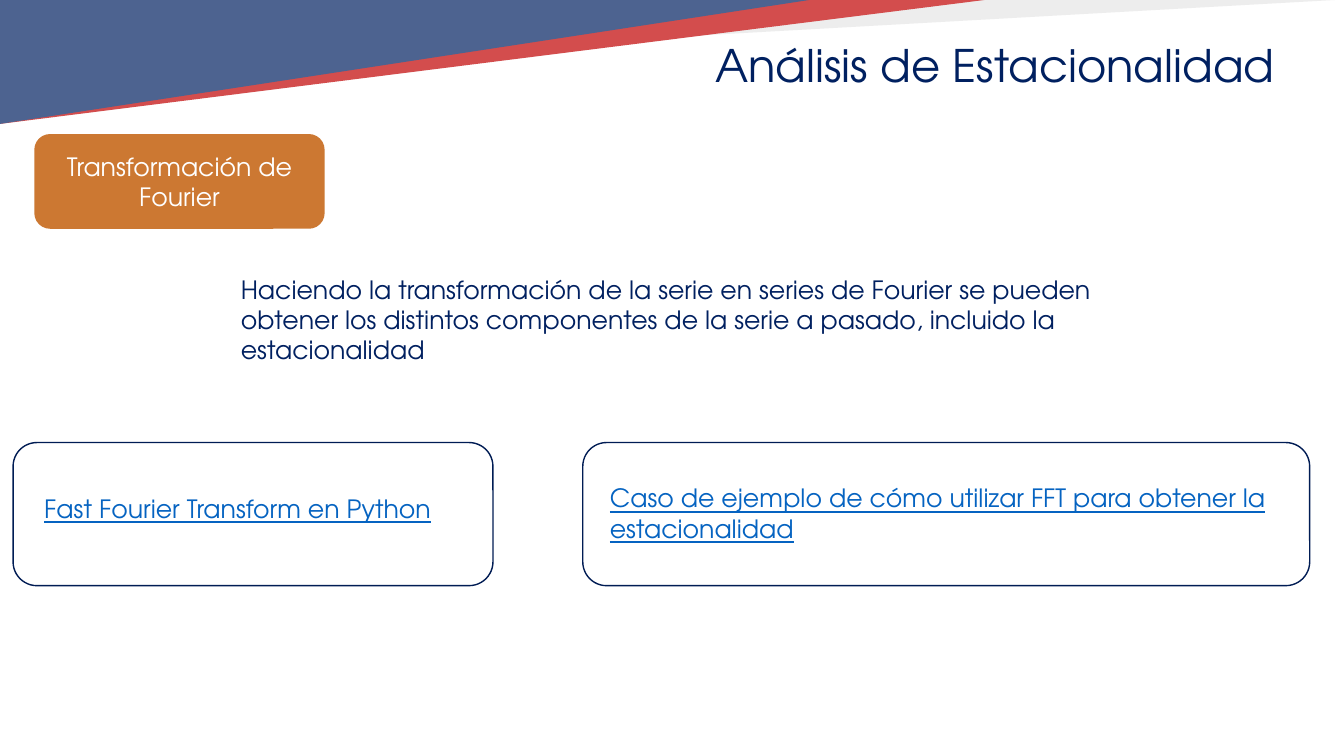
"""Build the slide on seasonality analysis with the Fourier transform."""
from dataclasses import dataclass
from typing import Optional

from lxml import etree
from pptx import Presentation
from pptx import util as u
from pptx.dml.color import RGBColor
from pptx.enum import shapes, text
from pptx.oxml import ns

PX = 9144
FONT = "TeX Gyre Adventor"
COLORS = {
    "navy": "002060",
    "outline": "001C54",
    "red": "C00000",
    "grey": "E6E6E6",
    "orange": "CC7832",
    "link": "0563C1",
    "white": "FFFFFF",
}


@dataclass(frozen=True)
class Box:
    left: int
    top: int
    width: int
    height: int

    def emu(self) -> tuple:
        return tuple(u.Emu(side * PX) for side in (self.left, self.top, self.width, self.height))


@dataclass(frozen=True)
class Wedge:
    width: int
    height: int
    color: str


@dataclass(frozen=True)
class Label:
    box: Box
    words: str
    color: str = "navy"
    size: int = 18
    centred: bool = False
    underlined: bool = False


WEDGES = [Wedge(1325, 74, "grey"), Wedge(977, 123, "red"), Wedge(803, 123, "navy")]
VEIL = Box(0, 0, 1333, 145)
TOPIC = Label(Box(34, 133, 288, 94), "Transformación de Fourier", "white", centred=True)
LABELS = [
    Label(Box(627, 33, 720, 64), "Análisis de Estacionalidad", size=32, centred=True),
    Label(Box(595, 474, 715, 71),
          "Caso de ejemplo de cómo utilizar FFT para obtener la estacionalidad",
          "link", underlined=True),
    Label(Box(34, 484, 522, 40), "Fast Fourier Transform en Python", "link", underlined=True),
    Label(Box(229, 267, 926, 101),
          "Haciendo la transformación de la serie en series de Fourier se pueden obtener "
          "los distintos componentes de la serie a pasado, incluido la estacionalidad"),
]
LINK_FRAMES = [Box(13, 439, 476, 142), Box(578, 439, 721, 142)]


def rgb(name: str) -> RGBColor:
    return RGBColor.from_string(COLORS[name])


def add_block(slide, preset, box: Box, fill: Optional[str] = None, line: Optional[str] = None):
    block = slide.shapes.add_shape(preset, *box.emu())
    block.shadow.inherit = False
    if fill:
        block.fill.solid()
        block.fill.fore_color.rgb = rgb(fill)
    else:
        block.fill.background()
    if line:
        block.line.color.rgb = rgb(line)
        block.line.width = u.Pt(1)
    else:
        block.line.fill.background()
    return block


def add_wedge(slide, wedge: Wedge) -> None:
    triangle = add_block(slide, shapes.MSO_SHAPE.ISOSCELES_TRIANGLE,
                         Box(0, 0, wedge.width, wedge.height), wedge.color)
    triangle.adjustments[0] = 0
    triangle._element.spPr.find(ns.qn("a:xfrm")).set("flipV", "1")


def add_veil(slide) -> None:
    veil = add_block(slide, shapes.MSO_SHAPE.RECTANGLE, VEIL, "white")
    tint = veil._element.spPr.find(ns.qn("a:solidFill"))[0]
    etree.SubElement(tint, ns.qn("a:alpha")).set("val", "30000")


def write(frame, label: Label) -> None:
    frame.word_wrap = True
    frame.text = label.words
    paragraph = frame.paragraphs[0]
    paragraph.alignment = text.PP_ALIGN.CENTER if label.centred else text.PP_ALIGN.LEFT
    font = paragraph.runs[0].font
    font.name = FONT
    font.size = u.Pt(label.size)
    font.color.rgb = rgb(label.color)
    if label.underlined:
        font.underline = True


def main() -> None:
    deck = Presentation()
    deck.slide_width, deck.slide_height = u.Emu(1333 * PX), u.Emu(750 * PX)
    slide = deck.slides.add_slide(deck.slide_layouts[6])
    for wedge in WEDGES:
        add_wedge(slide, wedge)
    add_veil(slide)
    topic = add_block(slide, shapes.MSO_SHAPE.ROUNDED_RECTANGLE, TOPIC.box, "orange")
    topic.text_frame.vertical_anchor = text.MSO_ANCHOR.MIDDLE
    write(topic.text_frame, TOPIC)
    for label in LABELS:
        write(slide.shapes.add_textbox(*label.box.emu()).text_frame, label)
    for frame in LINK_FRAMES:
        add_block(slide, shapes.MSO_SHAPE.ROUNDED_RECTANGLE, frame, line="outline")
    deck.save("out.pptx")


if __name__ == "__main__":
    main()
